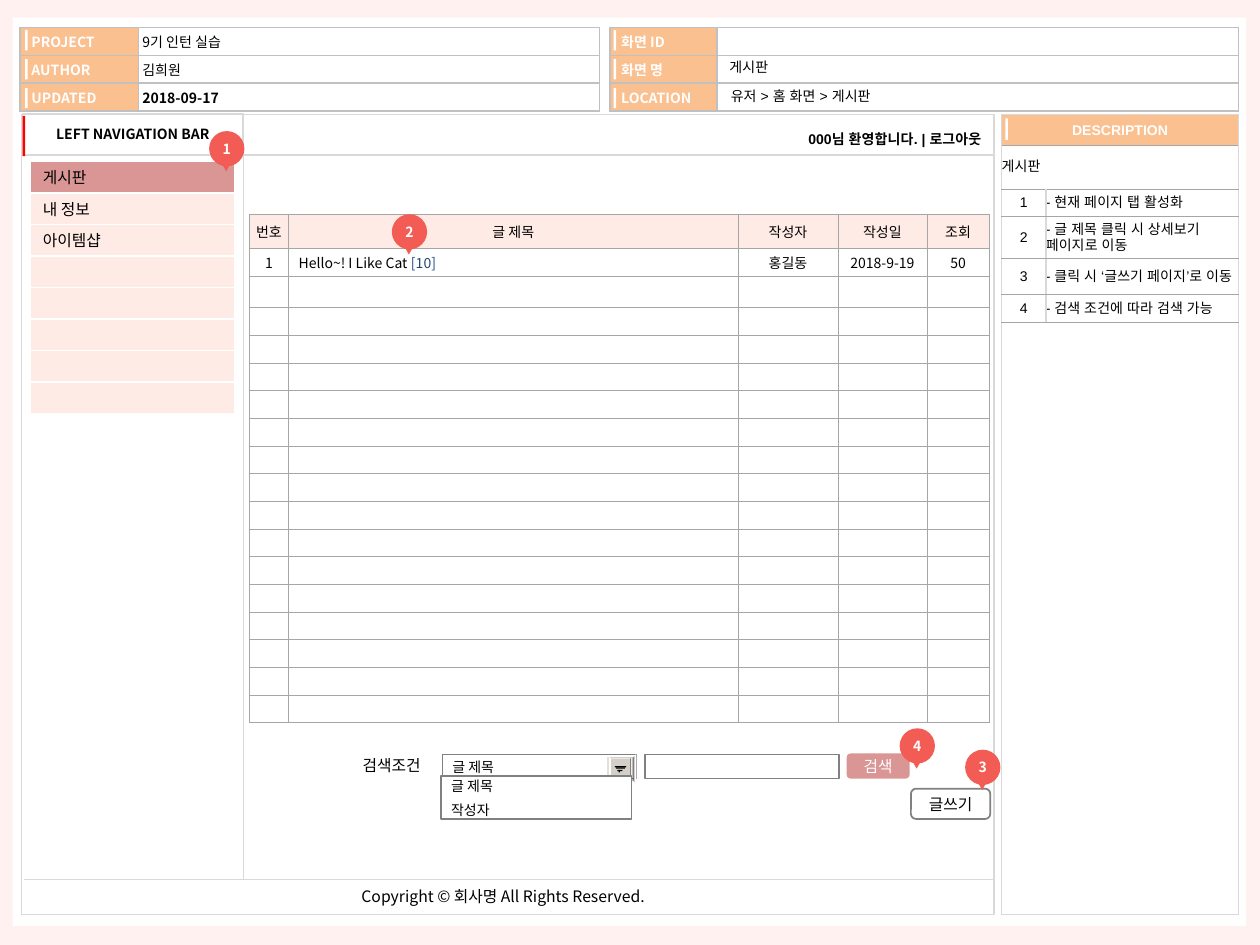
from dataclasses import dataclass, replace
from typing import Optional

from lxml.etree import SubElement
from pptx import Presentation
from pptx.dml.color import RGBColor
from pptx.enum.shapes import MSO_CONNECTOR as Wire, MSO_SHAPE as Form
from pptx.enum.text import MSO_ANCHOR as Anchor, PP_ALIGN as Align
from pptx.oxml.ns import qn
from pptx.util import Inches, Pt

NOTO = "Noto Sans CJK KR"
WHITE, BLACK, PEACH, PINK, ROSE = "FFFFFF", "000000", "FAC090", "FFEBE5", "D99694"
SILVER, PALE, GRAY, MID, CORAL = "C0C0C0", "D9D9D9", "A6A6A6", "808080", "F25C54"
FACE, DARK = "D4D0C8", "404040"


@dataclass(frozen=True)
class Look:
    size: float = 8
    ink: str = BLACK
    bold: bool = False
    face: str = NOTO
    align: Align = Align.LEFT
    pad: float = 0
    wrap: bool = True
    gap: float = 0


@dataclass(frozen=True)
class Box:
    x: float
    y: float
    w: float
    h: float
    fill: Optional[str] = None
    line: Optional[str] = None
    width: float = 0.75
    form: Form = Form.RECTANGLE


@dataclass(frozen=True)
class Edge:
    side: str
    flat: str
    side_w: float = 1
    flat_w: float = 1


def hue(code: str) -> RGBColor:
    return RGBColor.from_string(code)


def style(run, look: Look) -> None:
    font = run.font
    font.size, font.bold, font.name = Pt(look.size), look.bold, look.face
    font.color.rgb = hue(look.ink)
    SubElement(font._element, qn("a:ea"), typeface=look.face)


def write(frame, text: str, look: Look) -> None:
    frame.text = text
    for para in frame.paragraphs:
        para.alignment, para.space_before = look.align, Pt(look.gap)
        for run in para.runs:
            style(run, look)


def label(frame, text: str, look: Look) -> None:
    frame.margin_left = frame.margin_right = Inches(look.pad)
    frame.margin_top = frame.margin_bottom = 0
    frame.vertical_anchor = Anchor.MIDDLE
    frame.word_wrap = look.wrap
    write(frame, text, look)


def draw(shapes, box: Box, text: str = "", look: Look = Look()):
    item = shapes.add_shape(box.form, *map(Inches, (box.x, box.y, box.w, box.h)))
    item.shadow.inherit = False
    if box.fill:
        item.fill.solid()
        item.fill.fore_color.rgb = hue(box.fill)
    else:
        item.fill.background()
    if box.line:
        item.line.color.rgb = hue(box.line)
        item.line.width = Pt(box.width)
    else:
        item.line.fill.background()
    if text:
        label(item.text_frame, text, look)
    return item


def note(shapes, at: tuple, text: str, look: Look) -> None:
    label(shapes.add_textbox(*map(Inches, at)).text_frame, text, look)


def wire(shapes, ends: tuple, width: float) -> None:
    item = shapes.add_connector(Wire.STRAIGHT, *map(Inches, ends))
    item.line.color.rgb, item.line.width = hue(PALE), Pt(width)
    SubElement(item._element.spPr, qn("a:effectLst"))


def grid(shapes, x: float, y: float, cols: list, rows: list, edge: Edge):
    size = map(Inches, (x, y, sum(cols), sum(rows)))
    table = shapes.add_table(len(rows), len(cols), *size).table
    table.first_row = table.horz_banding = False
    for col, w in zip(table.columns, cols):
        col.width = Inches(w)
    for row, h in zip(table.rows, rows):
        row.height = Inches(h)
    for cell in table.iter_cells():
        props = cell._tc.get_or_add_tcPr()
        for tag in ("lnL", "lnR", "lnT", "lnB"):
            flat = tag in ("lnT", "lnB")
            width = edge.flat_w if flat else edge.side_w
            line = SubElement(props, qn(f"a:{tag}"), w=str(int(Pt(width))))
            paint = SubElement(line, qn("a:solidFill"))
            SubElement(paint, qn("a:srgbClr"), val=edge.flat if flat else edge.side)
        fill_cell(cell, "", None, Look())
    return table


def fill_cell(cell, text: str, fill: Optional[str], look: Look) -> None:
    cell.margin_left = cell.margin_right = Inches(look.pad)
    cell.margin_top = cell.margin_bottom = 0
    cell.vertical_anchor = Anchor.MIDDLE
    if fill:
        cell.fill.solid()
        cell.fill.fore_color.rgb = hue(fill)
    else:
        cell.fill.background()
    write(cell.text_frame, text, look)
    para = cell.text_frame.paragraphs[0]._p
    if not text and para.find(qn("a:endParaRPr")) is None:
        SubElement(para, qn("a:endParaRPr"), sz=str(int(look.size * 100)))


def header(shapes, x: float, cols: list, rows: list, bar: float) -> None:
    table = grid(shapes, x, 0.22, cols, [0.22] * 3, Edge(SILVER, SILVER))
    for r, (name, value, bold) in enumerate(rows):
        fill_cell(table.cell(r, 0), name, PEACH, Look(ink=WHITE, bold=True, pad=0.09))
        fill_cell(table.cell(r, 1), value, WHITE, Look(bold=bold, pad=0.03))
        draw(shapes, Box(bar, 0.24 + 0.23 * r, 0.02, 0.16, WHITE))


def pin(shapes, x: float, y: float, text: str) -> None:
    group = shapes.add_group_shape().shapes
    look = Look(ink=WHITE, bold=True, align=Align.CENTER, wrap=False)
    draw(group, Box(x, y, 0.28, 0.28, CORAL, form=Form.OVAL), text, look)
    tip = Box(x + 0.09, y + 0.24, 0.09, 0.08, CORAL, form=Form.ISOSCELES_TRIANGLE)
    draw(group, tip).rotation = 180


def arrow(shapes) -> None:
    group = shapes.add_group_shape().shapes
    for part in (
        (5.04, 5.99, 0.01, 0.24, WHITE), (5.03, 6, 0.01, 0.21, FACE),
        (5.02, 6.01, 0.01, 0.19, DARK), (4.82, 6.19, 0.19, 0.01, DARK),
        (4.82, 6.01, 0.01, 0.18, FACE), (4.84, 6.01, 0.18, 0.01, FACE),
        (5, 6.02, 0.01, 0.17, MID), (4.84, 6.18, 0.17, 0.01, MID),
        (4.84, 6.02, 0.01, 0.16, WHITE), (4.85, 6.02, 0.15, 0.01, WHITE),
        (4.85, 6.02, 0.15, 0.15, FACE), (4.91, 6.12, 0.01, 0.01, BLACK),
        (4.9, 6.11, 0.04, 0.01, BLACK), (4.89, 6.09, 0.07, 0.01, BLACK),
        (4.88, 6.08, 0.09, 0.01, BLACK),
    ):
        draw(group, Box(*part))


def aside(shapes) -> None:
    frame = grid(shapes, 7.95, 0.91, [1.88], [0.25, 6.1], Edge(PALE, PALE))
    title = Look(ink=WHITE, bold=True, face="Arial", align=Align.CENTER, pad=0.04)
    fill_cell(frame.cell(0, 0), "DESCRIPTION", PEACH, title)
    fill_cell(frame.cell(1, 0), "", WHITE, Look())
    draw(shapes, Box(7.98, 0.94, 0.02, 0.17, WHITE))
    rows = [0.35, 0.22, 0.33, 0.29, 0.22]
    table = grid(shapes, 7.95, 1.15, [0.35, 1.53], rows, Edge(PALE, GRAY, 1, 0.5))
    look = Look(face="Arial")
    table.cell(0, 0).merge(table.cell(0, 1))
    fill_cell(table.cell(0, 0), "게시판", WHITE, look)
    notes = ("현재 페이지 탭 활성화", "글 제목 클릭 시 상세보기 페이지로 이동",
             "클릭 시 ‘글쓰기 페이지’로 이동", "검색 조건에 따라 검색 가능")
    for r, text in enumerate(notes, 1):
        fill_cell(table.cell(r, 0), str(r), WHITE, replace(look, align=Align.CENTER))
        fill_cell(table.cell(r, 1), f"- {text}", WHITE, look)


def board(shapes) -> None:
    cols, rows = [0.31, 3.57, 0.79, 0.71, 0.49], [0.27, 0.22, 0.25] + [0.22] * 15
    table = grid(shapes, 1.98, 1.7, cols, rows, Edge(GRAY, GRAY, 0.25, 0.25))
    mid = Look(align=Align.CENTER)
    heads = ("번호", "글 제목", "작성자", "작성일", "조회")
    post = ("1", "Hello~! I Like Cat ", "홍길동", "2018-9-19", "50")
    for c, (head, text) in enumerate(zip(heads, post)):
        fill_cell(table.cell(0, c), head, PINK, mid)
        fill_cell(table.cell(1, c), text, None, Look(pad=0.08) if c == 1 else mid)
    count = table.cell(1, 1).text_frame.paragraphs[0].add_run()
    count.text = "[10]"
    style(count, Look(ink="1F497D"))


def main() -> None:
    deck = Presentation()
    deck.slide_width, deck.slide_height = Inches(10), Inches(7.5)
    slide = deck.slides.add_slide(deck.slide_layouts[6])
    slide.background.fill.solid()
    slide.background.fill.fore_color.rgb = hue("FFF1EF")
    shapes = slide.shapes
    draw(shapes, Box(0.1, 0.14, 9.79, 7.21, WHITE))
    header(shapes, 0.16, [0.94, 3.66], [("PROJECT", "9기 인턴 실습", False),
           ("AUTHOR", "김희원", False), ("UPDATED", "2018-09-17", True)], 0.2)
    header(shapes, 4.84, [0.85, 4.14], [("화면 ID", "", False),
           ("화면 명", "", False), ("LOCATION", "", False)], 4.87)
    plain = Look(face="Arial", pad=0.08)
    note(shapes, (5.72, 0.66, 2.9, 0.2), "유저 > 홈 화면 > 게시판", plain)
    note(shapes, (5.71, 0.43, 2.9, 0.2), "게시판", plain)
    draw(shapes, Box(0.17, 0.91, 7.72, 6.35, line=PALE))
    aside(shapes)
    wire(shapes, (0.19, 6.98, 7.89, 6.98), 1)
    text = Look(size=9, pad=0.1, wrap=False)
    note(shapes, (2.77, 6.99, 2.52, 0.25), "Copyright © 회사명 All Rights Reserved.", text)
    mid = replace(text, align=Align.CENTER, pad=0)
    draw(shapes, Box(0.18, 0.9, 1.75, 0.33, line=PALE), "LEFT NAVIGATION BAR",
         replace(mid, size=8, bold=True))
    draw(shapes, Box(0.18, 0.92, 0.02, 0.32, "FF0000"))
    menu = grid(shapes, 0.24, 1.28, [1.62], [0.25] * 8, Edge(WHITE, WHITE))
    for r, name in enumerate(["게시판", "내 정보", "아이템샵"] + [""] * 5):
        fill_cell(menu.cell(r, 0), name, PINK if r else ROSE, text)
    wire(shapes, (1.93, 0.91, 1.93, 6.98), 0.75)
    wire(shapes, (1.93, 1.23, 7.89, 1.23), 1)
    note(shapes, (5.29, 0.99, 2.58, 0.22), "000님 환영합니다. | 로그아웃",
         replace(plain, bold=True, align=Align.RIGHT))
    board(shapes)
    soft = Form.ROUNDED_RECTANGLE
    draw(shapes, Box(7.23, 6.26, 0.63, 0.24, WHITE, MID, 1, soft), "글쓰기", mid)
    pin(shapes, 7.66, 5.95, "3")
    pin(shapes, 1.66, 1.04, "1")
    pin(shapes, 3.11, 1.7, "2")
    draw(shapes, Box(5.12, 5.99, 1.54, 0.19, WHITE, MID))
    draw(shapes, Box(6.72, 5.98, 0.5, 0.2, ROSE, form=soft), "검색", replace(mid, ink=WHITE))
    pin(shapes, 7.14, 5.78, "4")
    note(shapes, (2.78, 5.95, 0.71, 0.25), "검색조건", text)
    draw(shapes, Box(3.51, 5.99, 1.54, 0.19, WHITE, MID), "글 제목", Look(pad=0.08))
    arrow(shapes)
    draw(shapes, Box(3.5, 6.16, 1.51, 0.34, WHITE, MID), "글 제목\n작성자",
         Look(pad=0.08, gap=4))
    deck.save("out.pptx")


if __name__ == "__main__":
    main()
